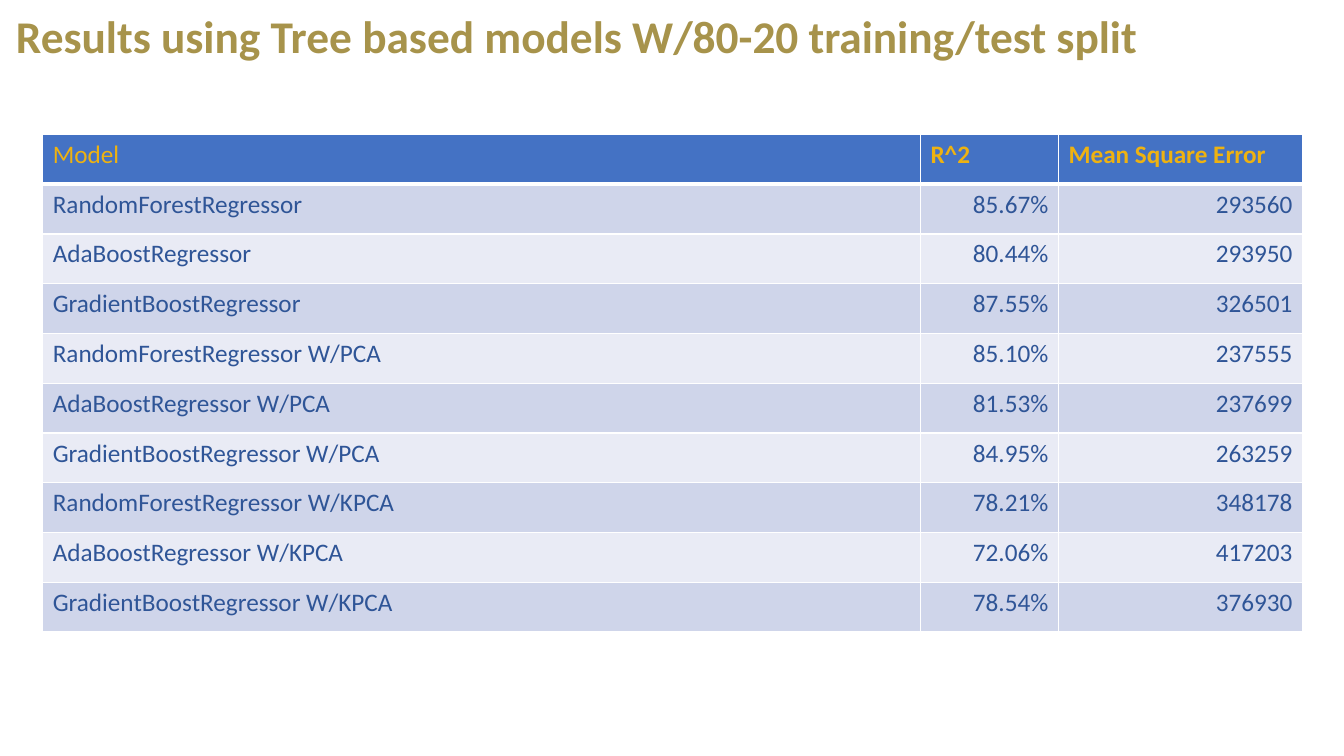
from lxml.etree import SubElement
from pptx import Presentation
from pptx.dml.color import RGBColor
from pptx.enum.text import MSO_ANCHOR, PP_ALIGN
from pptx.oxml.ns import qn
from pptx.util import Pt

FONT = "Calibri"
COLORS = {
    "title": "A7934B",
    "header_fill": "4472C4",
    "header_text": "EEB211",
    "body_text": "2F5597",
    "odd_row": "CFD5EA",
    "even_row": "E9EBF5",
    "border": "FFFFFF",
}
COLUMN_WIDTHS = (627, 98.6, 174.4)
ROW_HEIGHT = 35.57
HEADER = ("Model", "R^2", "Mean Square Error")
RESULTS = (
    ("RandomForestRegressor", "85.67%", "293560"),
    ("AdaBoostRegressor", "80.44%", "293950"),
    ("GradientBoostRegressor", "87.55%", "326501"),
    ("RandomForestRegressor W/PCA", "85.10%", "237555"),
    ("AdaBoostRegressor W/PCA", "81.53%", "237699"),
    ("GradientBoostRegressor W/PCA", "84.95%", "263259"),
    ("RandomForestRegressor W/KPCA", "78.21%", "348178"),
    ("AdaBoostRegressor W/KPCA", "72.06%", "417203"),
    ("GradientBoostRegressor W/KPCA", "78.54%", "376930"),
)


def add_span(para, text, size, color, bold=False):
    span = para.add_run()
    span.text = text
    span.font.name = FONT
    span.font.size = Pt(size)
    span.font.bold = bold
    span.font.color.rgb = RGBColor.from_string(COLORS[color])


def add_title(page, text):
    box = page.shapes.add_textbox(Pt(4.3), Pt(6.5), Pt(900), Pt(80))
    frame = box.text_frame
    frame.word_wrap = True
    frame.vertical_anchor = MSO_ANCHOR.TOP
    para = frame.paragraphs[0]
    para.line_spacing = 0.9
    add_span(para, text, 32.4, "title", bold=True)


def set_borders(cell, top, bottom):
    """Draw the cell's edges; the line elements must precede the fill."""
    properties = cell._tc.get_or_add_tcPr()
    edges = {"lnL": 1, "lnR": 1, "lnT": top, "lnB": bottom}
    for index, (edge, width) in enumerate(edges.items()):
        line = SubElement(properties, qn(f"a:{edge}"), w=str(Pt(width)))
        fill = SubElement(line, qn("a:solidFill"))
        SubElement(fill, qn("a:srgbClr"), val=COLORS["border"])
        properties.insert(index, line)


def fill_cell(cell, text, fill, color, bold=False, align=PP_ALIGN.LEFT):
    cell.fill.solid()
    cell.fill.fore_color.rgb = RGBColor.from_string(COLORS[fill])
    para = cell.text_frame.paragraphs[0]
    para.alignment = align
    add_span(para, text, 18, color, bold)


def add_results_table(page):
    row_count = len(RESULTS) + 1
    table = page.shapes.add_table(
        row_count, len(HEADER), Pt(30.5), Pt(96),
        Pt(sum(COLUMN_WIDTHS)), Pt(ROW_HEIGHT * row_count),
    ).table
    for column, width in zip(table.columns, COLUMN_WIDTHS):
        column.width = Pt(width)
    for row in table.rows:
        row.height = Pt(ROW_HEIGHT)

    for column, text in enumerate(HEADER):
        cell = table.cell(0, column)
        fill_cell(cell, text, "header_fill", "header_text", bold=column > 0)
        set_borders(cell, top=1, bottom=3)

    for row, result in enumerate(RESULTS, start=1):
        for column, text in enumerate(result):
            cell = table.cell(row, column)
            fill_cell(
                cell, text, "odd_row" if row % 2 else "even_row", "body_text",
                align=PP_ALIGN.RIGHT if column else PP_ALIGN.LEFT,
            )
            set_borders(cell, top=3 if row == 1 else 1, bottom=1)


def main():
    deck = Presentation()
    deck.slide_width, deck.slide_height = Pt(960), Pt(540)
    page = deck.slides.add_slide(deck.slide_layouts[6])
    add_results_table(page)
    add_title(page, "Results using Tree based models W/80-20 training/test split")
    deck.save("out.pptx")


if __name__ == "__main__":
    main()
